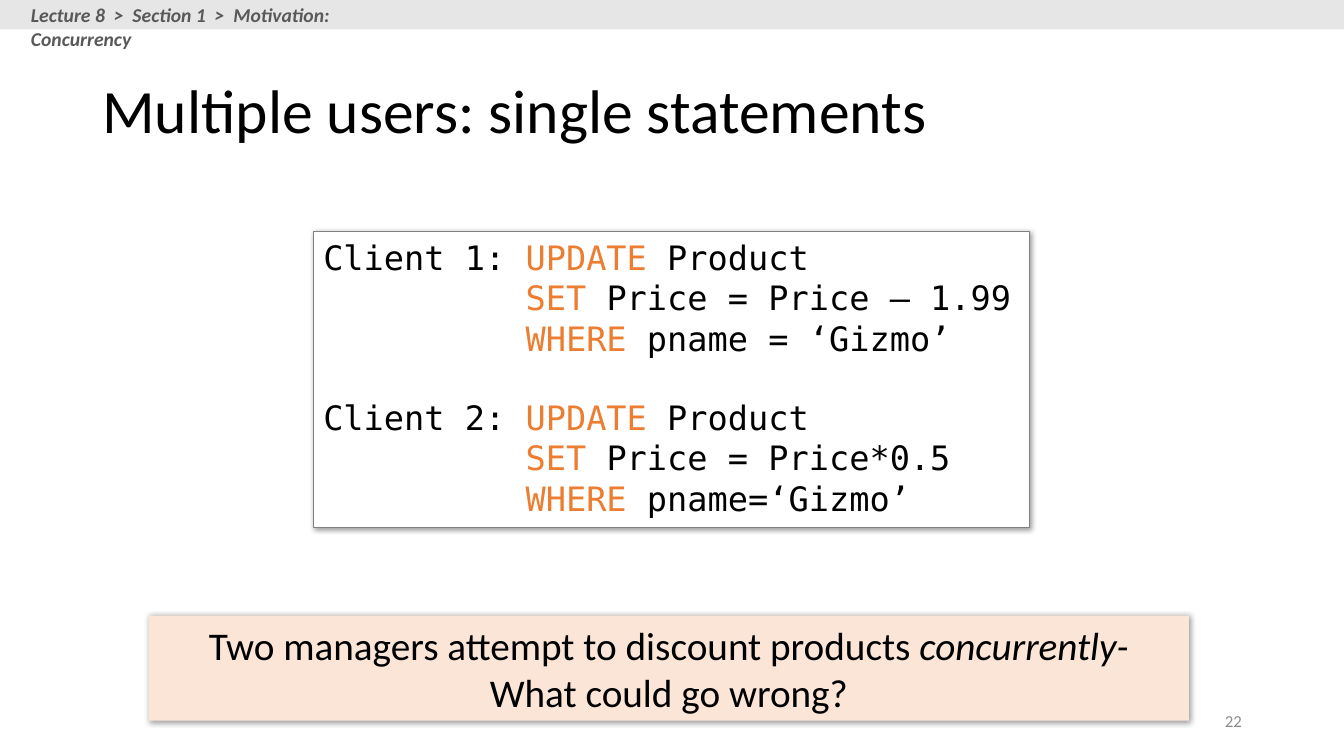
from dataclasses import dataclass

from lxml import etree
from pptx import Presentation
from pptx.dml.color import RGBColor as RGB
from pptx.enum.shapes import MSO_SHAPE as SHAPE
from pptx.enum.text import MSO_ANCHOR as ANCHOR, PP_ALIGN as ALIGN
from pptx.oxml.ns import qn
from pptx.util import Inches, Pt


@dataclass(frozen=True)
class Theme:
    """Colours, fonts and type sizes of the slide."""
    ink: str = "000000"
    paper: str = "FFFFFF"
    keyword: str = "ED7D31"
    border: str = "808080"
    banner: str = "FBE5D6"
    bar: str = "E7E6E6"
    crumb: str = "595959"
    number: str = "8C8C8C"
    body: str = "Calibri"
    mono: str = "DejaVu Sans Mono"
    title_size: int = 44
    banner_size: int = 28
    code_size: int = 24
    crumb_size: int = 14
    number_size: int = 12


class Deck:
    """Draws styled elements on a slide, placed on a grid of 160 columns by 90 rows."""

    cell = Inches(1) // 12

    def __init__(self, theme):
        self.theme = theme
        self.prs = Presentation()
        self.prs.slide_width, self.prs.slide_height = Inches(13.33), Inches(7.5)
        self.s = self.prs.slides.add_slide(self.prs.slide_layouts[6])

    def place(self, box):
        """Turn columns and rows into lengths."""
        return [round(v * self.cell) for v in box]

    def shadow(self, sp):
        """Give a shape a soft shadow to the lower right."""
        effects = sp._element.spPr.find(qn("a:effectLst"))
        outer = etree.SubElement(effects, qn("a:outerShdw"), blurRad=str(Pt(4)),
                                 dist=str(Pt(1)), dir="2700000", algn="tl", rotWithShape="0")
        colour = etree.SubElement(outer, qn("a:srgbClr"), val=self.theme.ink)
        etree.SubElement(colour, qn("a:alpha"), val="40000")

    def panel(self, box, fill, line=None, raised=True):
        """Add a filled rectangle."""
        sp = self.s.shapes.add_shape(SHAPE.RECTANGLE, *self.place(box))
        sp.shadow.inherit = False
        sp.fill.solid()
        sp.fill.fore_color.rgb = RGB.from_string(fill)
        if line:
            sp.line.color.rgb = RGB.from_string(line)
            sp.line.width = Pt(0.75)
        else:
            sp.line.fill.background()
        if raised:
            self.shadow(sp)
        return sp

    def label(self, box, text, fmt, **layout):
        """Add a text box holding one line of text."""
        sp = self.s.shapes.add_textbox(*self.place(box))
        self.fill_text(sp, [[(text, {})]], fmt, **layout)

    def fill_text(self, sp, lines, fmt, anchor=ANCHOR.TOP, align=ALIGN.LEFT, spacing=1.0):
        """Fill a shape with paragraphs of formatted runs."""
        tf = sp.text_frame
        tf.word_wrap, tf.vertical_anchor = True, anchor
        for i, runs in enumerate(lines):
            p = tf.add_paragraph() if i else tf.paragraphs[0]
            p.alignment, p.line_spacing = align, spacing
            for text, extra in runs:
                r = p.add_run()
                r.text = text
                values = {**fmt, **extra}
                r.font.color.rgb = RGB.from_string(values.pop("color"))
                for name, value in values.items():
                    setattr(r.font, name, value)

    def font(self, size, color=None, name=None, **extra):
        """Build a dict of font values."""
        return {"size": Pt(size), "color": color or self.theme.ink,
                "name": name or self.theme.body, **extra}

    def code(self, box, clients):
        """Add a code panel with one SQL statement per client."""
        t = self.theme
        sp = self.panel(box, t.paper, t.border)
        lines = [[(lead, {}), (word, {"color": t.keyword}), (rest, {})]
                 for client in clients for lead, word, rest in client]
        self.fill_text(sp, lines, self.font(t.code_size, name=t.mono))
        size = len(clients[0])
        for p in sp.text_frame.paragraphs[size::size]:
            p.space_before = Pt(28)

    def banner(self, box, lines):
        """Add a raised panel with centred text."""
        t = self.theme
        self.fill_text(self.panel(box, t.banner), lines, self.font(t.banner_size),
                       anchor=ANCHOR.MIDDLE, align=ALIGN.CENTER)


def main():
    """Build the slide and save it."""
    t = Theme()
    d = Deck(t)
    d.label((113, 83.4, 36, 4.8), "22", d.font(t.number_size, t.number),
            anchor=ANCHOR.MIDDLE, align=ALIGN.RIGHT)
    d.label((11, 4.8, 138, 17.4), "Multiple users: single statements",
            d.font(t.title_size), anchor=ANCHOR.MIDDLE, spacing=0.9)
    indent = "          "
    d.code((37.3, 27.6, 85.2, 35.2), [
        [("Client 1: ", "UPDATE", " Product"),
         (indent, "SET", " Price = Price – 1.99"),
         (indent, "WHERE", " pname = ‘Gizmo’")],
        [("Client 2: ", "UPDATE", " Product"),
         (indent, "SET", " Price = Price*0.5"),
         (indent, "WHERE", " pname=‘Gizmo’")],
    ])
    d.banner((17.7, 73.3, 123.8, 12.5), [
        [("Two managers attempt to discount products ", {}),
         ("concurrently-", {"italic": True})],
        [("What could go wrong?", {})],
    ])
    d.panel((0, 0, 160, 3.5), t.bar, raised=False)
    d.label((2.5, -0.2, 49.6, 4.1), "Lecture 8  >  Section 1  >  Motivation: Concurrency",
            d.font(t.crumb_size, t.crumb, bold=True, italic=True))
    d.prs.save("out.pptx")


if __name__ == "__main__":
    main()
